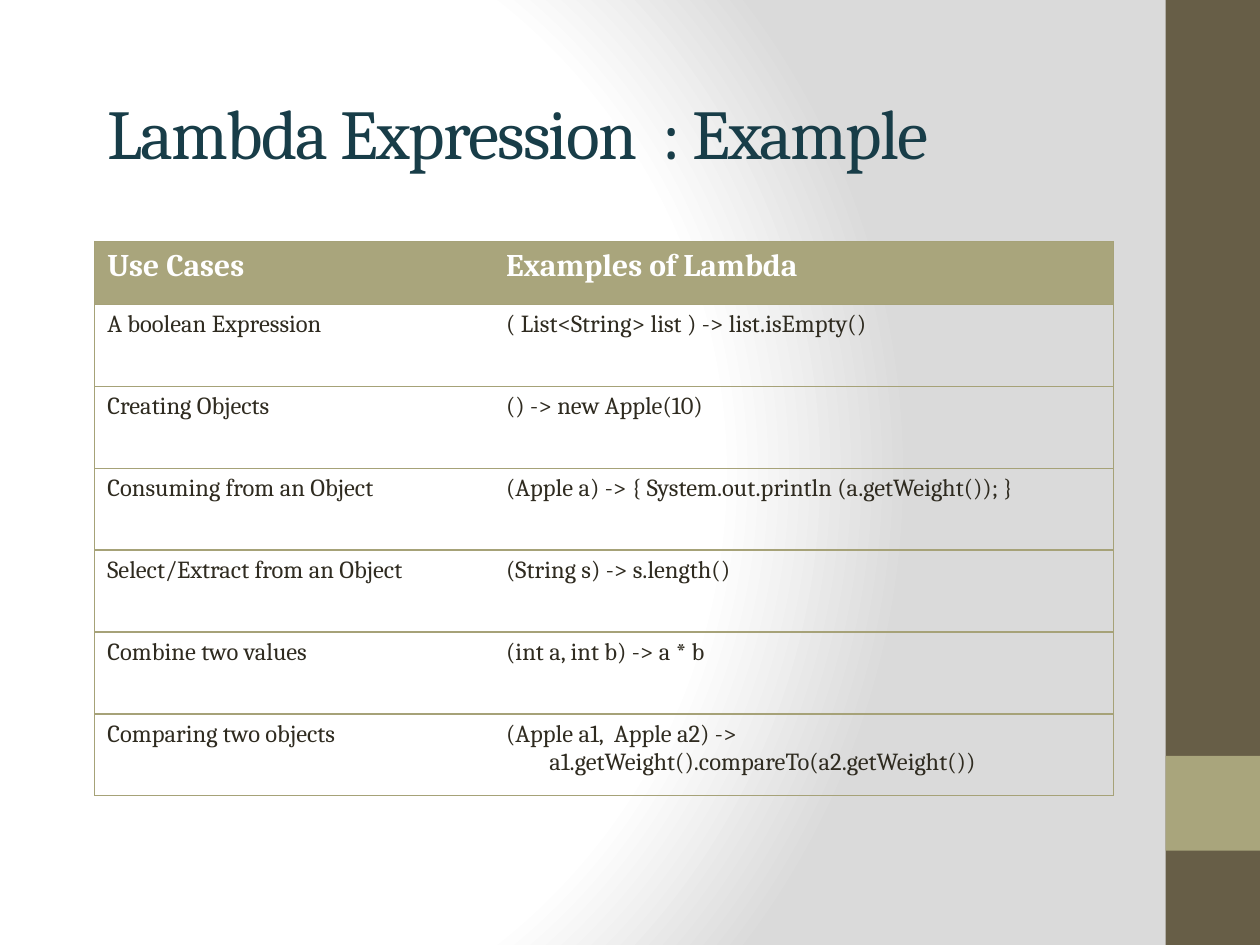
from pptx import Presentation
from pptx.dml.color import RGBColor
from pptx.enum.shapes import MSO_SHAPE
from pptx.enum.text import MSO_ANCHOR
from pptx.oxml import parse_xml
from pptx.oxml.ns import nsdecls
from pptx.util import Cm, Pt


def paint(color, code):
    color.rgb = RGBColor.from_string(code)


def style(para, size, code, bold=False):
    for run in para.runs:
        run.font.name = "Cambria"
        run.font.size = Pt(size)
        run.font.bold = bold
        paint(run.font.color, code)


deck = Presentation()
deck.slide_width, deck.slide_height = Cm(25.4), Cm(19.05)
slide = deck.slides.add_slide(deck.slide_layouts[6])

# Background: round gradient, white to grey
stops = "".join(
    f'<a:gs pos="{pos}"><a:srgbClr val="{code}"/></a:gs>'
    for pos, code in [(0, "FFFFFF"), (75000, "FFFFFF"), (100000, "DADADA")])
slide.element.cSld.insert(0, parse_xml(
    f'<p:bg {nsdecls("p", "a")}><p:bgPr><a:gradFill rotWithShape="1">'
    f'<a:gsLst>{stops}</a:gsLst><a:path path="circle">'
    '<a:fillToRect l="20000" t="50000" r="100000" b="50000"/></a:path>'
    '</a:gradFill><a:effectLst/></p:bgPr></p:bg>'))

# Side band and its accent block
for top, high, code in [(0, 19.05, "675E47"), (15.24, 1.91, "A9A57C")]:
    band = slide.shapes.add_shape(
        MSO_SHAPE.RECTANGLE, Cm(23.5), Cm(top), Cm(1.9), Cm(high))
    band.shadow.inherit = False
    band.fill.solid()
    paint(band.fill.fore_color, code)
    band.line.fill.background()

# Title
title = slide.shapes.add_textbox(Cm(1.91), Cm(1.06), Cm(21.17), Cm(3.18))
frame = title.text_frame
frame.word_wrap = True
frame.vertical_anchor = MSO_ANCHOR.MIDDLE
frame.text = "Lambda Expression  : Example"
style(frame.paragraphs[0], 40, "183D48")
frame.paragraphs[0].runs[0].font._element.set("spc", "-100")

# Table of use cases
rows = [
    ("Use Cases", "Examples of Lambda"),
    ("A boolean Expression", "( List<String> list ) -> list.isEmpty()"),
    ("Creating Objects", "() -> new Apple(10)"),
    ("Consuming from an Object",
     "(Apple a) -> { System.out.println (a.getWeight()); }"),
    ("Select/Extract from an Object", "(String s) -> s.length()"),
    ("Combine two values", "(int a, int b) -> a * b"),
    ("Comparing two objects",
     "(Apple a1,  Apple a2) ->\na1.getWeight().compareTo(a2.getWeight())"),
]
table = slide.shapes.add_table(
    len(rows), 2, Cm(1.91), Cm(4.87), Cm(20.54), Cm(11.17)).table
table.first_row = table.horz_banding = False
table.columns[0].width, table.columns[1].width = Cm(8.04), Cm(12.5)

for r, texts in enumerate(rows):
    head = r == 0
    table.rows[r].height = Cm(1.27 if head else 1.65)
    for c, text in enumerate(texts):
        cell = table.cell(r, c)
        cell.text_frame.text = text
        for para in cell.text_frame.paragraphs:
            if head:
                style(para, 18, "FFFFFF", True)
            else:
                style(para, 14, "2F2B20")
        if head:
            cell.fill.solid()
            paint(cell.fill.fore_color, "A9A57C")
        else:
            cell.fill.background()

        # Borders: rules between rows and a frame, none between columns
        props = cell._tc.get_or_add_tcPr()
        inner = "R" if c == 0 else "L"
        for i, side in enumerate("LRTB"):
            fill = ("<a:noFill/>" if side == inner else
                    '<a:solidFill><a:srgbClr val="A6A278"/></a:solidFill>')
            props.insert(i, parse_xml(
                f'<a:ln{side} {nsdecls("a")} w="12700">{fill}</a:ln{side}>'))

# Indent the continued line of code
code = table.cell(6, 1).text_frame.paragraphs[1]
code._p.get_or_add_pPr().set("marL", str(Cm(0.87)))

deck.save("out.pptx")
